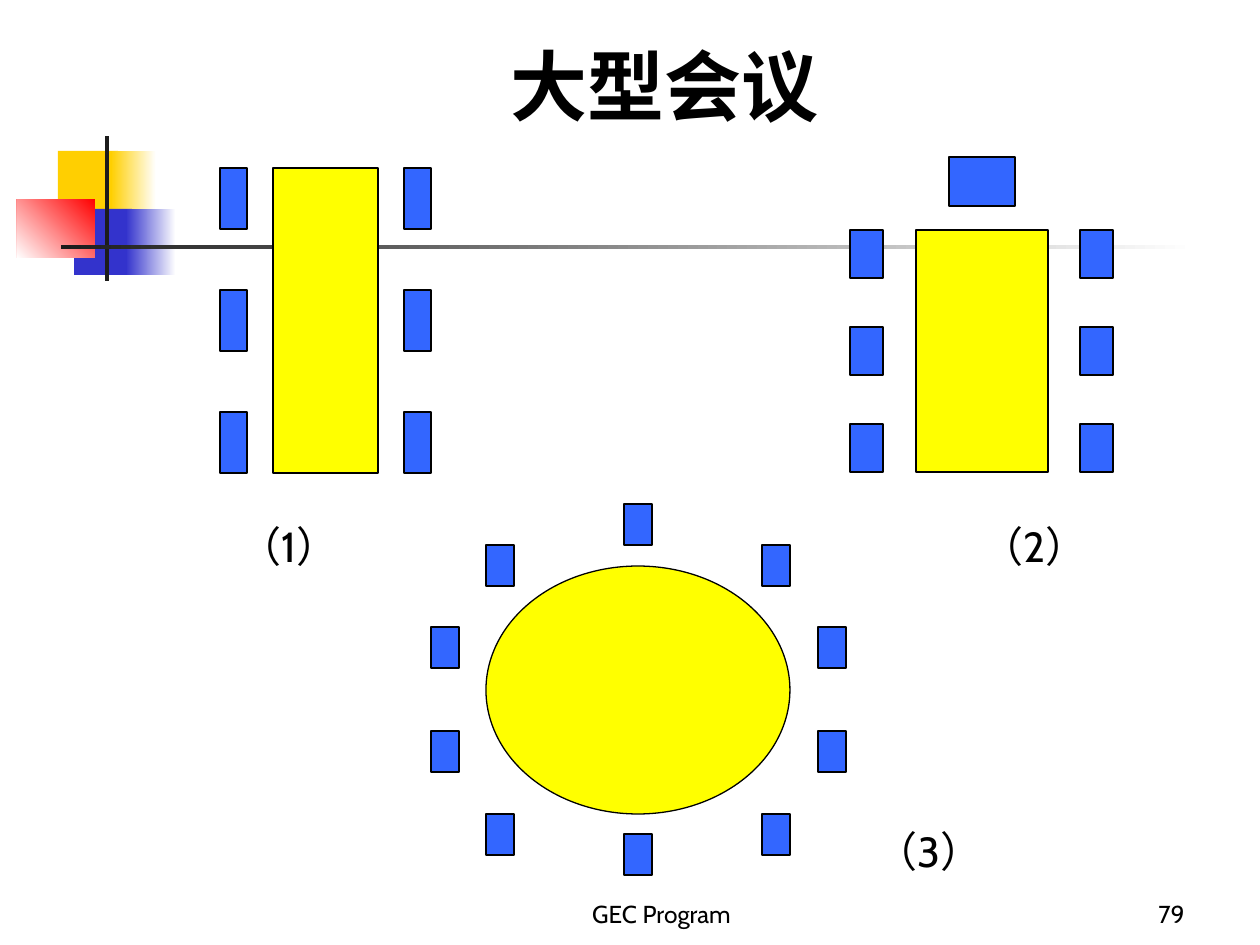
"""Build the slide of seating plans for large meetings."""
from itertools import product
from pptx import Presentation
from pptx.dml.color import RGBColor
from pptx.enum.shapes import MSO_SHAPE
from pptx.enum.text import MSO_ANCHOR, PP_ALIGN
from pptx.util import Pt

PX = 914400 / 126
BLACK = RGBColor(0, 0, 0)
WHITE = RGBColor(255, 255, 255)
GOLD = RGBColor(0xFF, 0xCF, 0x01)
NAVY = RGBColor(0x33, 0x33, 0xCC)
RED = RGBColor(255, 0, 0)
DARK = RGBColor(0x1C, 0x1C, 0x1C)
BLUE = RGBColor(0x33, 0x66, 0xFF)
YELLOW = RGBColor(255, 255, 0)


def draw(home, area, tint, kind=MSO_SHAPE.RECTANGLE, edge=True):
    shape = home.shapes.add_shape(kind, *[round(n * PX) for n in area])
    shape.shadow.inherit = False
    shape.fill.solid()
    shape.fill.fore_color.rgb = tint
    if edge:
        shape.line.color.rgb = BLACK
        shape.line.width = Pt(0.75)
    else:
        shape.line.fill.background()
    return shape


def write(box, area, text, size, align, anchor, bold=False):
    for name, n in zip(("left", "top", "width", "height"), area):
        setattr(box, name, round(n * PX))
    frame = box.text_frame
    frame.word_wrap = True
    frame.vertical_anchor = anchor
    frame.text = text
    para = frame.paragraphs[0]
    para.alignment = align
    font = para.runs[0].font
    look = {"name": "Cabin", "size": Pt(size), "bold": bold}
    for name, value in look.items():
        setattr(font, name, value)
    font.color.rgb = BLACK


deck = Presentation()
deck.slide_width = round(1260 * PX)
deck.slide_height = round(945 * PX)
slide = deck.slides.add_slide(deck.slide_layouts[5])

motif = [
    ((58, 151, 60, 66), GOLD, None),
    ((111, 151, 45, 66), GOLD, (WHITE, GOLD, 180)),
    ((74, 209, 58, 66), NAVY, None),
    ((126, 209, 50, 66), NAVY, (WHITE, NAVY, 180)),
    ((17, 199, 78, 59), RED, (RED, WHITE, 225)),
    ((105, 136, 4, 145), DARK, None),
    ((61, 245, 1134, 4), DARK, (WHITE, DARK, 180)),
]
for area, tint, fade in motif:
    shape = draw(slide, area, tint, edge=False)
    if fade:
        shape.fill.gradient()
        shape.fill.gradient_angle = fade[2]
        for stop, shade in zip(shape.fill.gradient_stops, fade):
            stop.color.rgb = shade

write(slide.shapes.title, (136, 31, 1074, 106), "大型会议 ", 44,
      PP_ALIGN.CENTER, MSO_ANCHOR.BOTTOM, True)

long = slide.shapes.add_group_shape()
draw(long, (273, 168, 105, 305), YELLOW)
for x, row in product((220, 404), range(3)):
    draw(long, (x, 168 + 122 * row, 27, 61), BLUE)

head = slide.shapes.add_group_shape()
draw(head, (949, 157, 66, 49), BLUE)
draw(head, (916, 230, 132, 242), YELLOW)
for x, row in product((850, 1080), range(3)):
    draw(head, (x, 230 + 97 * row, 33, 48), BLUE)

round_plan = slide.shapes.add_group_shape()
draw(round_plan, (486, 566, 304, 248), YELLOW, MSO_SHAPE.OVAL)
seats = [(624, 504), (624, 834)]
seats += product((486, 762), (545, 814))
seats += product((431, 818), (627, 731))
for x, y in seats:
    draw(round_plan, (x, y, 28, 41), BLUE)

labels = [
    ((850, 819, 158, 63), "（3）", 24, PP_ALIGN.CENTER, MSO_ANCHOR.TOP),
    ((955, 514, 158, 63), "（2）", 24, PP_ALIGN.CENTER, MSO_ANCHOR.TOP),
    ((210, 514, 158, 63), "（1）", 24, PP_ALIGN.CENTER, MSO_ANCHOR.TOP),
    ((462, 872, 399, 63), "GEC Program", 14, PP_ALIGN.CENTER, MSO_ANCHOR.BOTTOM),
    ((935, 872, 262, 63), "79", 14, PP_ALIGN.RIGHT, MSO_ANCHOR.BOTTOM),
]
for label in labels:
    write(slide.shapes.add_textbox(0, 0, 0, 0), *label)

deck.save("out.pptx")
